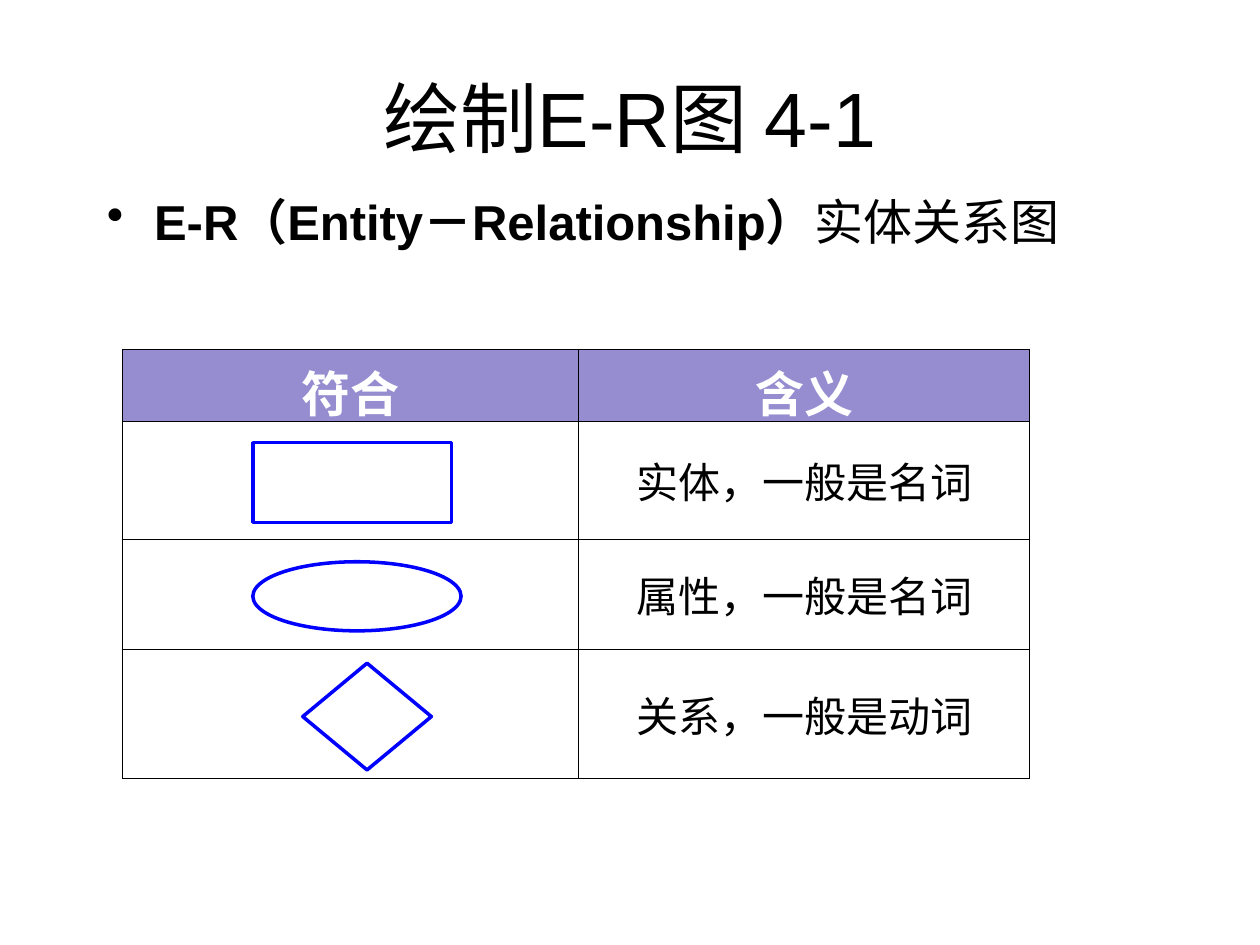
"""Build a slide on the symbols of an E-R diagram."""
import pptx
import pptx.dml.color
import pptx.enum.shapes
import pptx.enum.text
import pptx.oxml
import pptx.util
from dataclasses import dataclass

Pt = pptx.util.Pt
Color = pptx.dml.color.RGBColor.from_string
Align = pptx.enum.text.PP_ALIGN
Anchor = pptx.enum.text.MSO_ANCHOR
Form = pptx.enum.shapes.MSO_SHAPE
NS = 'xmlns:a="http://schemas.openxmlformats.org/drawingml/2006/main"'


@dataclass(frozen=True)
class Theme:
    font: str = "Arial"
    ink: str = "000000"
    pale: str = "FFFFFF"
    head: str = "958DCF"
    mark: str = "0000FF"
    title: int = 44
    body: int = 28
    cell: int = 24
    edge: float = 0.45
    line: int = 2


def assign(item, values):
    for name, value in values.items():
        setattr(item, name, value)


class Deck:
    def __init__(self, theme):
        self.theme = theme
        self.show = pptx.Presentation()
        assign(self.show, {"slide_width": Pt(720), "slide_height": Pt(540)})
        self.slide = self.show.slides.add_slide(self.show.slide_layouts[6])

    def label(self, para, text, size, color, bold=False):
        run = para.add_run()
        run.text = text
        assign(run.font, {"name": self.theme.font, "size": Pt(size), "bold": bold})
        run.font.color.rgb = Color(color)

    def box(self, place, anchor):
        frame = self.slide.shapes.add_textbox(*map(Pt, place)).text_frame
        assign(frame, {"word_wrap": True, "vertical_anchor": anchor})
        return frame.paragraphs[0]

    def title(self, place, text):
        para = self.box(place, Anchor.MIDDLE)
        para.alignment = Align.CENTER
        self.label(para, text, self.theme.title, self.theme.ink)

    def bullet(self, place, parts, indent):
        para = self.box(place, Anchor.TOP)
        props = para._p.get_or_add_pPr()
        props.set("marL", str(Pt(indent)))
        props.set("indent", str(-Pt(indent)))
        props.append(pptx.oxml.parse_xml(f'<a:buChar {NS} char="•"/>'))
        for text, bold in parts:
            self.label(para, text, self.theme.body, self.theme.ink, bold)

    def border(self, cell):
        props = cell._tc.get_or_add_tcPr()
        for slot, side in enumerate("LRTB"):
            props.insert(slot, pptx.oxml.parse_xml(
                f'<a:ln{side} {NS} w="{Pt(self.theme.edge)}"><a:solidFill>'
                f'<a:srgbClr val="{self.theme.ink}"/></a:solidFill></a:ln{side}>'))

    def table(self, left, top, widths, heights, rows):
        theme = self.theme
        place = map(Pt, (left, top, sum(widths), sum(heights)))
        grid = self.slide.shapes.add_table(len(rows), len(widths), *place).table
        for col, width in zip(grid.columns, widths):
            col.width = Pt(width)
        for r, (height, row) in enumerate(zip(heights, rows)):
            grid.rows[r].height = Pt(height)
            for c, text in enumerate(row):
                cell = grid.cell(r, c)
                if r == 0:
                    cell.fill.solid()
                    cell.fill.fore_color.rgb = Color(theme.head)
                    style = theme.body, theme.pale, True
                else:
                    cell.fill.background()
                    cell.vertical_anchor = Anchor.MIDDLE
                    style = theme.cell, theme.ink
                self.border(cell)
                if text:
                    para = cell.text_frame.paragraphs[0]
                    para.alignment = Align.CENTER
                    self.label(para, text, *style)

    def symbol(self, form, place):
        shape = self.slide.shapes.add_shape(form, *map(Pt, place))
        shape.shadow.inherit = False
        shape.fill.background()
        shape.line.color.rgb = Color(self.theme.mark)
        shape.line.width = Pt(self.theme.line)


def main():
    deck = Deck(Theme())
    deck.title((36, 21.6, 648, 90), "绘制E-R图 4-1")
    deck.bullet((54, 106, 607, 45),
                [("E-R（Entity－Relationship）", True), ("实体关系图", False)], 27)
    deck.table(70, 199.5, (260.5, 258), (41, 68, 62.5, 74), [
        ("符合", "含义"),
        ("", "实体，一般是名词"),
        ("", "属性，一般是名词"),
        ("", "关系，一般是动词"),
    ])
    for form, place in (
        (Form.RECTANGLE, (144.5, 253, 113.5, 45.5)),
        (Form.OVAL, (144.5, 321, 119, 39.5)),
        (Form.DIAMOND, (173, 379, 73.5, 61)),
    ):
        deck.symbol(form, place)
    deck.show.save("out.pptx")


if __name__ == "__main__":
    main()
